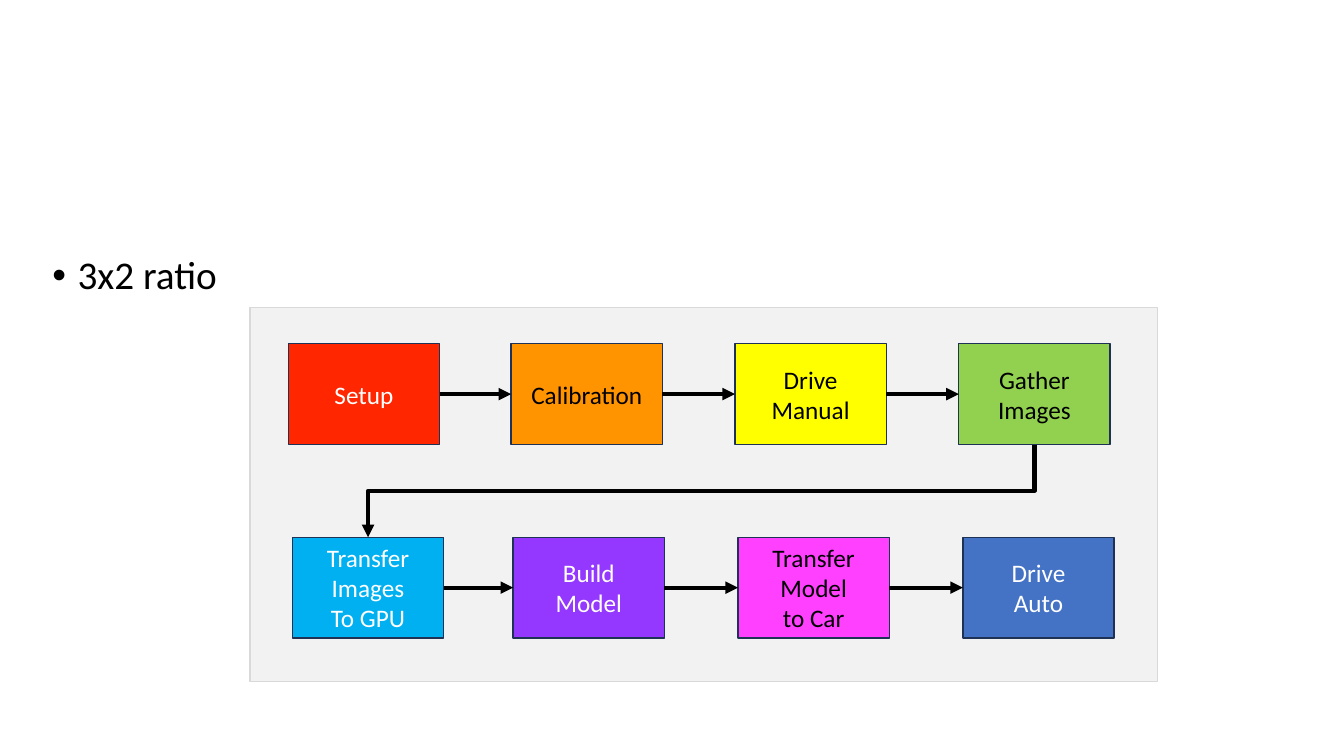
from dataclasses import dataclass

from lxml import etree
from pptx import Presentation
from pptx import util as u
from pptx.dml.color import RGBColor
from pptx.enum import shapes, text
from pptx.oxml.ns import qn

# Content: label lines, fill, text colour
BULLET = "3x2 ratio"
STEPS = [
    [
        (["Setup"], "FF2600", "FFFFFF"),
        (["Calibration"], "FF9300", "000000"),
        (["Drive", "Manual"], "FFFF00", "000000"),
        (["Gather", "Images"], "92D050", "000000"),
    ],
    [
        (["Transfer Images", "To GPU"], "00B0F0", "FFFFFF"),
        (["Build", "Model"], "9437FF", "FFFFFF"),
        (["Transfer", "Model", "to Car"], "FF40FF", "000000"),
        (["Drive", "Auto"], "4472C4", "FFFFFF"),
    ],
]

# Layout in inches
SLIDE = (13.33, 7.5)
BODY = (0.42, 2.49, 1.87, 0.56)
PANEL = (2.48, 3.05, 9, 3.71)
ROW_TOPS = (3.41, 5.33)
COLUMN_LEFTS = ((2.86, 5.07, 7.29, 9.51), (2.9, 5.09, 7.32, 9.55))
BOX_WIDTH, BOX_HEIGHT = 1.5, 1
TOP, LEFT, BOTTOM, RIGHT = range(4)


@dataclass
class Theme:
    font: str = "Calibri"
    ink: str = "000000"
    panel: str = "F2F2F2"
    panel_edge: str = "D9D9D9"
    box_edge: str = "1E3256"
    body_size: int = 28
    label_size: int = 18
    edge_width: int = 1
    arrow_width: int = 3


THEME = Theme()


def inches(values):
    return [u.Inches(value) for value in values]


def write(frame, lines, size, color, align=None):
    """Fill a text frame with one paragraph per line."""
    for index, line in enumerate(lines):
        para = frame.paragraphs[0] if index == 0 else frame.add_paragraph()
        para.alignment = align
        span = para.add_run()
        span.text = line
        span.font.name = THEME.font
        span.font.size = u.Pt(size)
        span.font.color.rgb = RGBColor.from_string(color)


def add_box(page, place, fill, edge):
    box = page.shapes.add_shape(shapes.MSO_SHAPE.RECTANGLE, *inches(place))
    box.shadow.inherit = False
    box.fill.solid()
    box.fill.fore_color.rgb = RGBColor.from_string(fill)
    box.line.color.rgb = RGBColor.from_string(edge)
    box.line.width = u.Pt(THEME.edge_width)
    return box


def add_step(page, place, lines, fill, color):
    box = add_box(page, place, fill, THEME.box_edge)
    box.text_frame.word_wrap = True
    box.text_frame.vertical_anchor = text.MSO_ANCHOR.MIDDLE
    write(box.text_frame, lines, THEME.label_size, color, text.PP_ALIGN.CENTER)
    return box


def add_arrow(page, kind, start, start_side, end, end_side):
    arrow = page.shapes.add_connector(kind, 0, 0, 0, 0)
    arrow.begin_connect(start, start_side)
    arrow.end_connect(end, end_side)
    arrow.line.color.rgb = RGBColor.from_string(THEME.ink)
    arrow.line.width = u.Pt(THEME.arrow_width)
    etree.SubElement(arrow.line._get_or_add_ln(), qn("a:tailEnd"), type="triangle")
    etree.SubElement(arrow._element.spPr, qn("a:effectLst"))
    return arrow


def turn_down(arrow):
    """Rotate an elbow a quarter turn so that it leaves and arrives vertically."""
    width, height = arrow.width, arrow.height
    middle_x, middle_y = arrow.left + width // 2, arrow.top + height // 2
    arrow.left, arrow.top = middle_x - height // 2, middle_y - width // 2
    arrow.width, arrow.height = height, width
    frame = arrow._element.spPr.find(qn("a:xfrm"))
    frame.set("rot", "5400000")
    frame.set("flipH", "0")


def add_bullet(page):
    page.shapes.title._element.getparent().remove(page.shapes.title._element)
    body = page.placeholders[1]
    body.left, body.top, body.width, body.height = inches(BODY)
    body.text_frame.auto_size = text.MSO_AUTO_SIZE.NONE
    write(body.text_frame, [BULLET], THEME.body_size, THEME.ink)
    para = body.text_frame.paragraphs[0]
    para.line_spacing = 0.9
    para.space_before = u.Pt(10)
    properties = para._p.get_or_add_pPr()
    properties.set("marL", str(u.Inches(0.25)))
    properties.set("indent", str(u.Inches(-0.25)))


def main():
    deck = Presentation()
    deck.slide_width, deck.slide_height = inches(SLIDE)
    page = deck.slides.add_slide(deck.slide_layouts[1])
    add_bullet(page)
    add_box(page, PANEL, THEME.panel, THEME.panel_edge)

    # Steps, row by row
    rows = [
        [add_step(page, (left, top, BOX_WIDTH, BOX_HEIGHT), *step)
         for left, step in zip(lefts, steps)]
        for top, lefts, steps in zip(ROW_TOPS, COLUMN_LEFTS, STEPS)
    ]

    # Arrows within each row, then from the first row to the second
    for row in rows:
        for start, end in zip(row, row[1:]):
            add_arrow(page, shapes.MSO_CONNECTOR.STRAIGHT, start, RIGHT, end, LEFT)
    turn_down(add_arrow(page, shapes.MSO_CONNECTOR.ELBOW,
                        rows[0][-1], BOTTOM, rows[1][0], TOP))

    deck.save("out.pptx")


if __name__ == "__main__":
    main()
